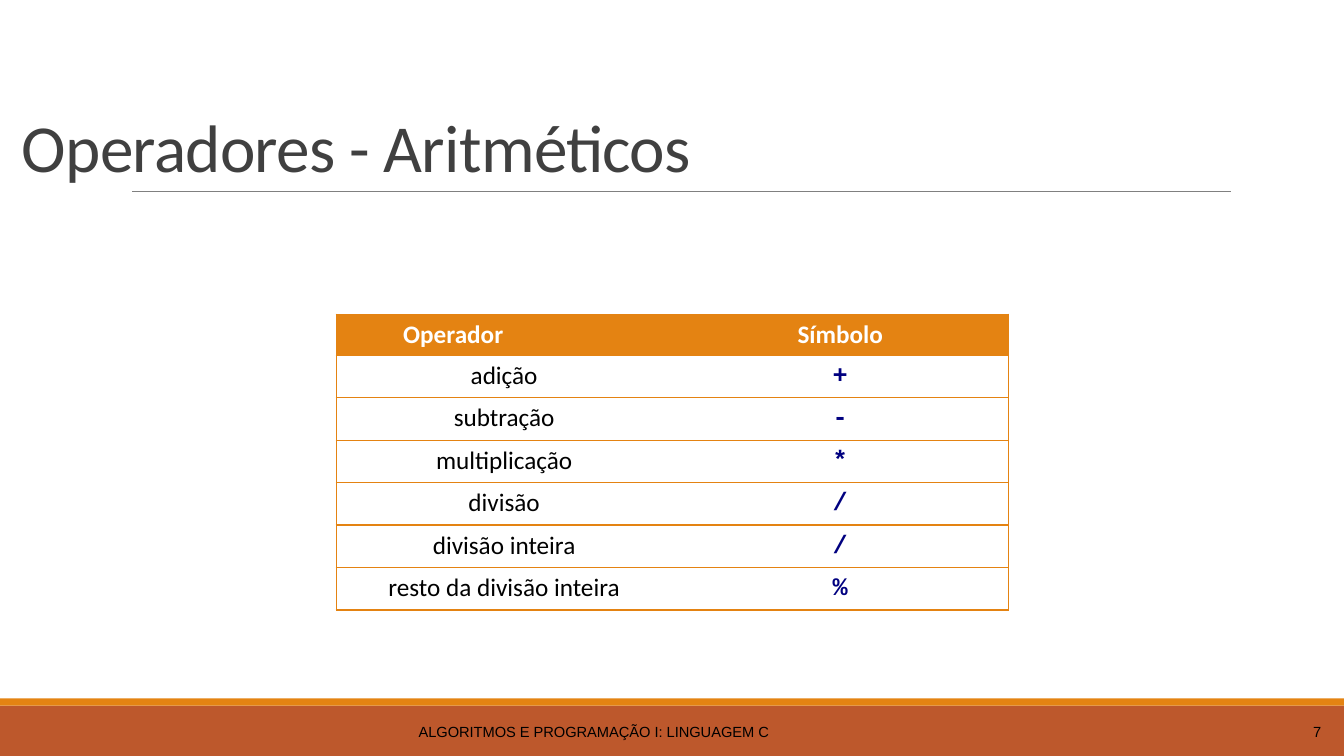
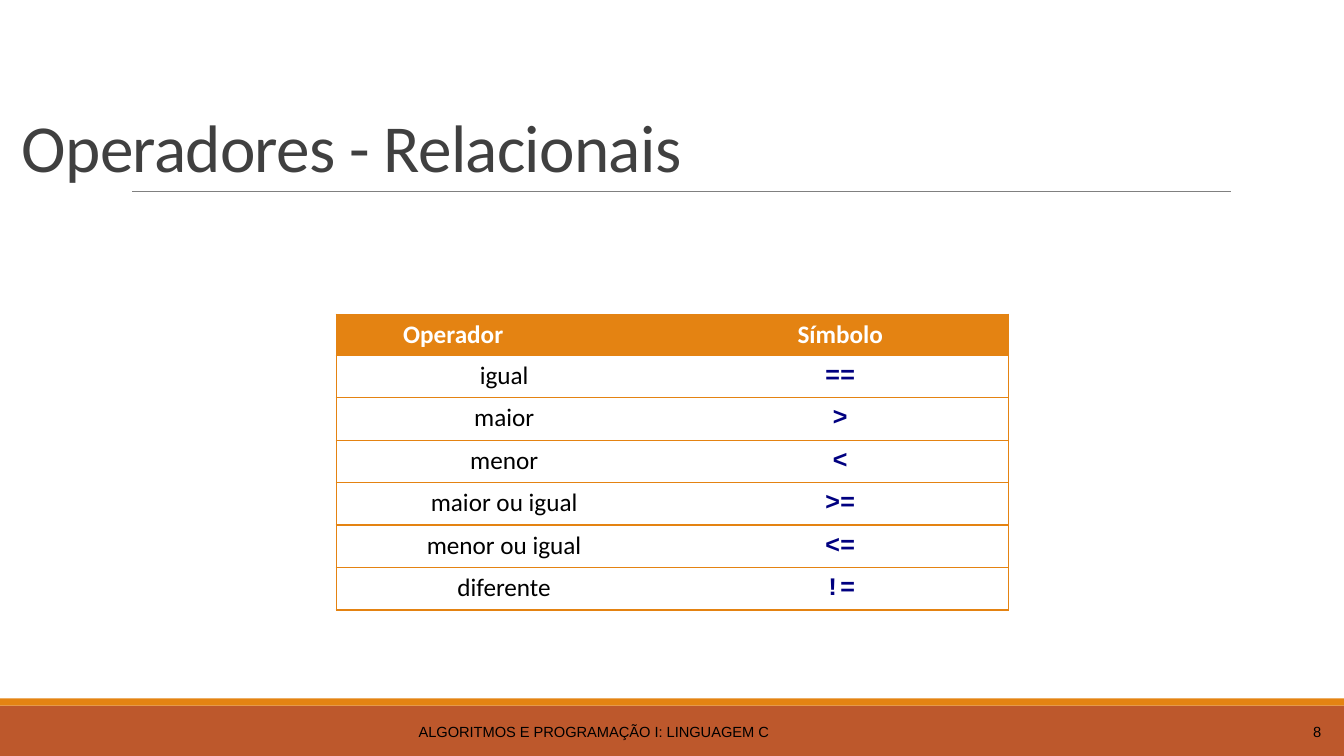
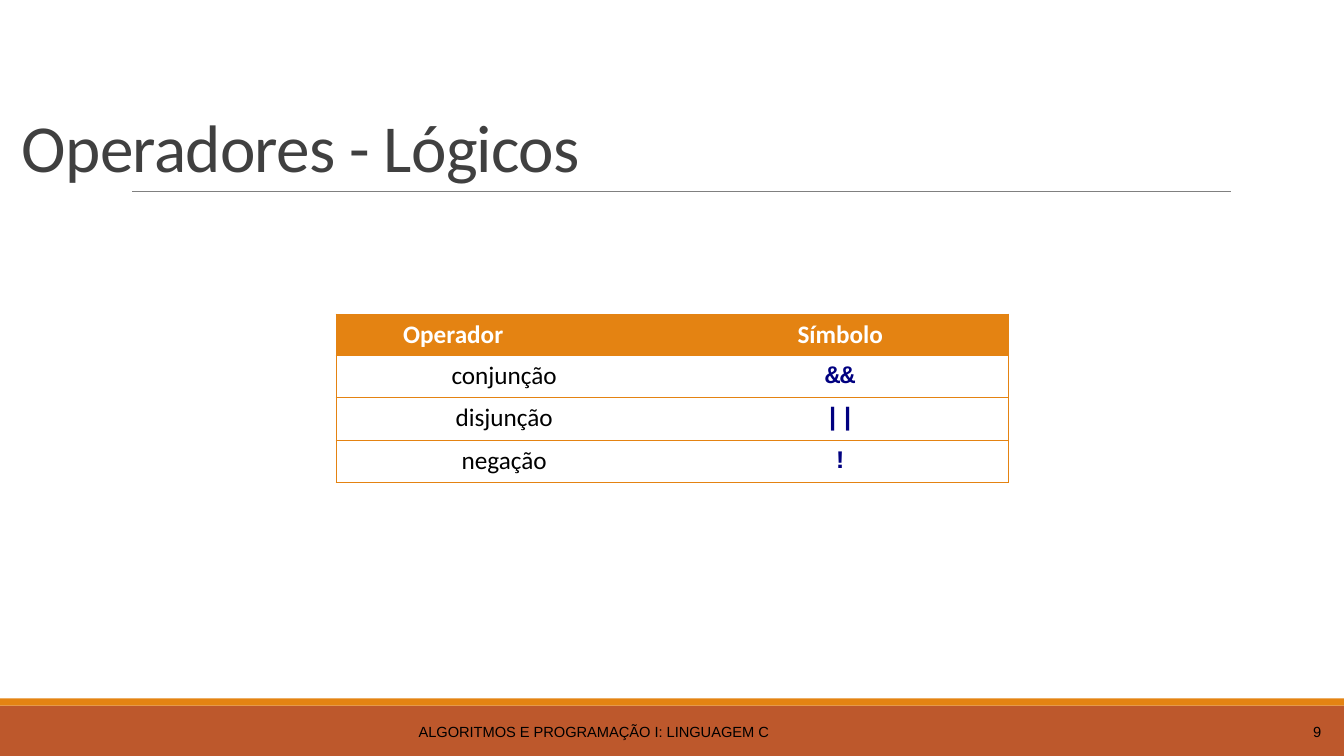
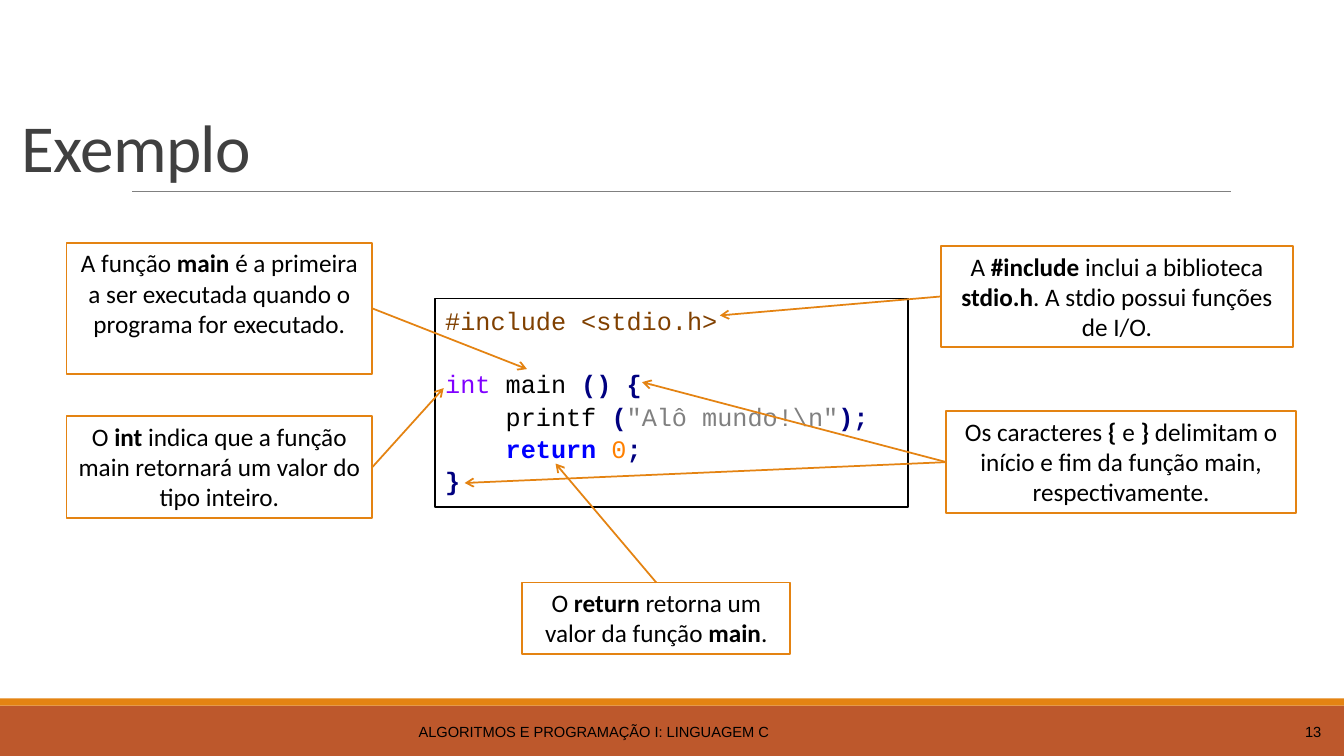
from dataclasses import dataclass

from lxml.etree import SubElement
from pptx import Presentation
from pptx.dml.color import RGBColor
from pptx.enum.shapes import MSO_CONNECTOR as CONN, MSO_SHAPE as SHAPE
from pptx.enum.text import MSO_ANCHOR as ANCHOR, PP_ALIGN as ALIGN
from pptx.oxml import parse_xml
from pptx.oxml.ns import nsdecls, qn
from pptx.util import Cm, Pt


@dataclass(frozen=True)
class Theme:
    """Colours, fonts and type sizes of the deck."""
    orange: str = "E48312"
    rust: str = "BD582C"
    rule: str = "808080"
    title: str = "404040"
    black: str = "000000"
    white: str = "FFFFFF"
    navy: str = "000080"
    directive: str = "804000"
    type_name: str = "8000FF"
    keyword: str = "0000FF"
    number: str = "FF8000"
    string: str = "808080"
    text_font: str = "Calibri"
    code_font: str = "Courier New"
    footer_font: str = "Arial"
    title_size: float = 48
    body_size: float = 18
    footer_size: float = 10.5
    outline: float = 1.25


T = Theme()
WIDTH, HEIGHT = 33.87, 19.05
NO_GRID_STYLE = "{2D5ABB26-0587-4C30-8999-92F81FD0307C}"
COURSE = "ALGORITMOS E PROGRAMAÇÃO I: LINGUAGEM C"
TABLE_BOX = (8.47, 7.92, 16.94)
CODE_BOX = (10.97, 7.52, 11.91, 5.26)
LEFT, RIGHT, TOP = 1, 3, 0

OPERATORS = [
    (7, "Operadores - Aritméticos", [
        ("adição", "+"), ("subtração", "-"), ("multiplicação", "*"),
        ("divisão", "/"), ("divisão inteira", "/"),
        ("resto da divisão inteira", "%")]),
    (8, "Operadores - Relacionais", [
        ("igual", "=="), ("maior", ">"), ("menor", "<"),
        ("maior ou igual", ">="), ("menor ou igual", "<="),
        ("diferente", "!=")]),
    (9, "Operadores - Lógicos", [
        ("conjunção", "&&"), ("disjunção", "||"), ("negação", "!")]),
]

# Each line: space before in points, then tokens of text, colour and weight
CODE = [
    (0, [("#include <stdio.h>", T.directive, False)]),
    (22, [("int ", T.type_name, False), ("main ", T.black, False),
          ("() {", T.navy, True)]),
    (0, [("    printf ", T.black, False), ("(", T.navy, True),
         ('"Alô mundo!\\n"', T.string, False), (");", T.navy, True)]),
    (0, [("    ", T.black, False), ("return ", T.keyword, True),
         ("0", T.number, False), (";", T.navy, True)]),
    (0, [("}", T.navy, True)]),
]

# Box, text with bold between **, side the arrows leave, tips within the code box
NOTES = [
    ((1.68, 10.49, 7.7, 2.57),
     "O **int** indica que a função main retornará um valor do tipo inteiro.",
     RIGHT, [(0.21, 2.26)]),
    ((23.72, 6.2, 8.86, 2.54),
     "A **#include** inclui a biblioteca **stdio.h**. A stdio possui funções de I/O.",
     LEFT, [(7.17, 0.43)]),
    ((1.68, 6.12, 7.7, 3.3),
     "A função **main** é a primeira a ser executada quando o programa for executado.",
     RIGHT, [(2.31, 1.78)]),
    ((23.85, 10.36, 8.81, 2.57),
     "Os caracteres **{** e **}** delimitam o início e fim da função main, respectivamente.",
     LEFT, [(5.21, 2.11), (0.74, 4.65)]),
    ((13.16, 14.68, 6.76, 1.8),
     "O **return** retorna um valor da função **main**.",
     TOP, [(3.03, 4.16)]),
]


def rgb(color):
    return RGBColor.from_string(color)


def set_font(font, name, size, color, bold=False):
    font.name, font.size, font.bold = name, Pt(size), bold
    font.color.rgb = rgb(color)


def add_run(p, text, name, color, bold=False):
    r = p.add_run()
    r.text = text
    set_font(r.font, name, T.body_size, color, bold)


def add_rect(s, box, fill, line=None):
    sp = s.shapes.add_shape(SHAPE.RECTANGLE, *map(Cm, box))
    sp.shadow.inherit = False
    sp.fill.solid()
    sp.fill.fore_color.rgb = rgb(fill)
    if line:
        sp.line.color.rgb = rgb(line)
        sp.line.width = Pt(T.outline)
    else:
        sp.line.fill.background()
    tf = sp.text_frame
    tf.word_wrap = True
    tf.vertical_anchor = ANCHOR.TOP
    return sp


def add_line(s, start, end, color, width):
    c = s.shapes.add_connector(CONN.STRAIGHT, *map(Cm, start + end))
    c.line.color.rgb = rgb(color)
    c.line.width = Pt(width)
    SubElement(c.element.spPr, qn("a:effectLst"))
    return c


def add_label(s, box, text, name, size, color, align, anchor):
    tf = s.shapes.add_textbox(*map(Cm, box)).text_frame
    tf.word_wrap = True
    tf.vertical_anchor = anchor
    tf.text = text
    p = tf.paragraphs[0]
    p.alignment = align
    set_font(p.runs[0].font, name, size, color)
    return p


def add_frame(prs, number, title):
    """Add a slide with the bands, title, rule and footer."""
    s = prs.slides.add_slide(prs.slide_layouts[6])
    add_rect(s, (0, 17.78, WIDTH, 1.27), T.rust)
    add_rect(s, (0, 17.6, WIDTH, 0.18), T.orange)
    add_line(s, (3.33, 4.83), (31.01, 4.83), T.rule, 0.5)
    p = add_label(s, (0.3, 0.79, 33.27, 4.04), title, T.text_font,
                  T.title_size, T.title, ALIGN.LEFT, ANCHOR.BOTTOM)
    p.line_spacing = 0.85
    p.runs[0].font._element.set("spc", "-50")
    for left, width, text, align in ((0.3, 29.34, COURSE, ALIGN.CENTER),
                                     (29.92, 3.63, str(number), ALIGN.RIGHT)):
        add_label(s, (left, 17.93, width, 1.02), text, T.footer_font,
                  T.footer_size, T.black, align, ANCHOR.MIDDLE)
    return s


def set_borders(cell, sides):
    """Draw orange borders on the sides, given in the order L, R, T, B."""
    tcPr = cell._tc.get_or_add_tcPr()
    for i, side in enumerate(sides):
        tcPr.insert(i, parse_xml(
            f'<a:ln{side} {nsdecls("a")} w="12700"><a:solidFill>'
            f'<a:srgbClr val="{T.orange}"/></a:solidFill></a:ln{side}>'))


def add_operator_table(s, box, operators):
    left, top, width = box
    rows = [("Operador", "Símbolo"), *operators]
    row_height = 1.03
    frame = s.shapes.add_table(len(rows), 2, Cm(left), Cm(top), Cm(width),
                               Cm(row_height * len(rows)))
    table = frame.table
    table.horz_banding = False
    table._tbl.tblPr.find(qn("a:tableStyleId")).text = NO_GRID_STYLE
    for i, row in enumerate(rows):
        table.rows[i].height = Cm(row_height)
        for j, text in enumerate(row):
            cell = table.cell(i, j)
            cell.text = text
            p = cell.text_frame.paragraphs[0]
            p.alignment = ALIGN.CENTER
            font = p.runs[0].font
            if i == 0:
                cell.fill.solid()
                cell.fill.fore_color.rgb = rgb(T.orange)
                set_font(font, T.text_font, T.body_size, T.white, True)
            else:
                cell.fill.background()
                if j == 0:
                    set_font(font, T.text_font, T.body_size, T.black)
                else:
                    set_font(font, T.code_font, T.body_size, T.navy, True)
                    p.line_spacing = 1.07
            set_borders(cell, "LR"[j] + "TB")
    table.cell(0, 0).margin_right = Cm(2.82)


def add_code(s, box, lines):
    tf = add_rect(s, box, T.white, T.black).text_frame
    for i, (space, tokens) in enumerate(lines):
        p = tf.add_paragraph() if i else tf.paragraphs[0]
        p.alignment = ALIGN.LEFT
        p.line_spacing = 1.07
        if space:
            p.space_before = Pt(space)
        for text, color, bold in tokens:
            add_run(p, text, T.code_font, color, bold)


def add_note(s, box, text, side, tips):
    """Add a boxed note with an arrow from its side to each tip."""
    sp = add_rect(s, box, T.white, T.orange)
    p = sp.text_frame.paragraphs[0]
    p.alignment = ALIGN.CENTER
    for i, part in enumerate(text.split("**")):
        add_run(p, part, T.text_font, T.black, bold=i % 2 == 1)
    for tip in tips:
        c = add_line(s, box[:2], tip, T.orange, T.outline)
        c.begin_connect(sp, side)
        SubElement(c.element.spPr.find(qn("a:ln")), qn("a:tailEnd"), type="arrow")


def main():
    prs = Presentation()
    prs.slide_width, prs.slide_height = Cm(WIDTH), Cm(HEIGHT)
    for number, title, operators in OPERATORS:
        add_operator_table(add_frame(prs, number, title), TABLE_BOX, operators)

    s = add_frame(prs, 13, "Exemplo")
    add_code(s, CODE_BOX, CODE)
    for box, text, side, tips in NOTES:
        add_note(s, box, text, side,
                 [(CODE_BOX[0] + x, CODE_BOX[1] + y) for x, y in tips])
    prs.save("out.pptx")


if __name__ == "__main__":
    main()
